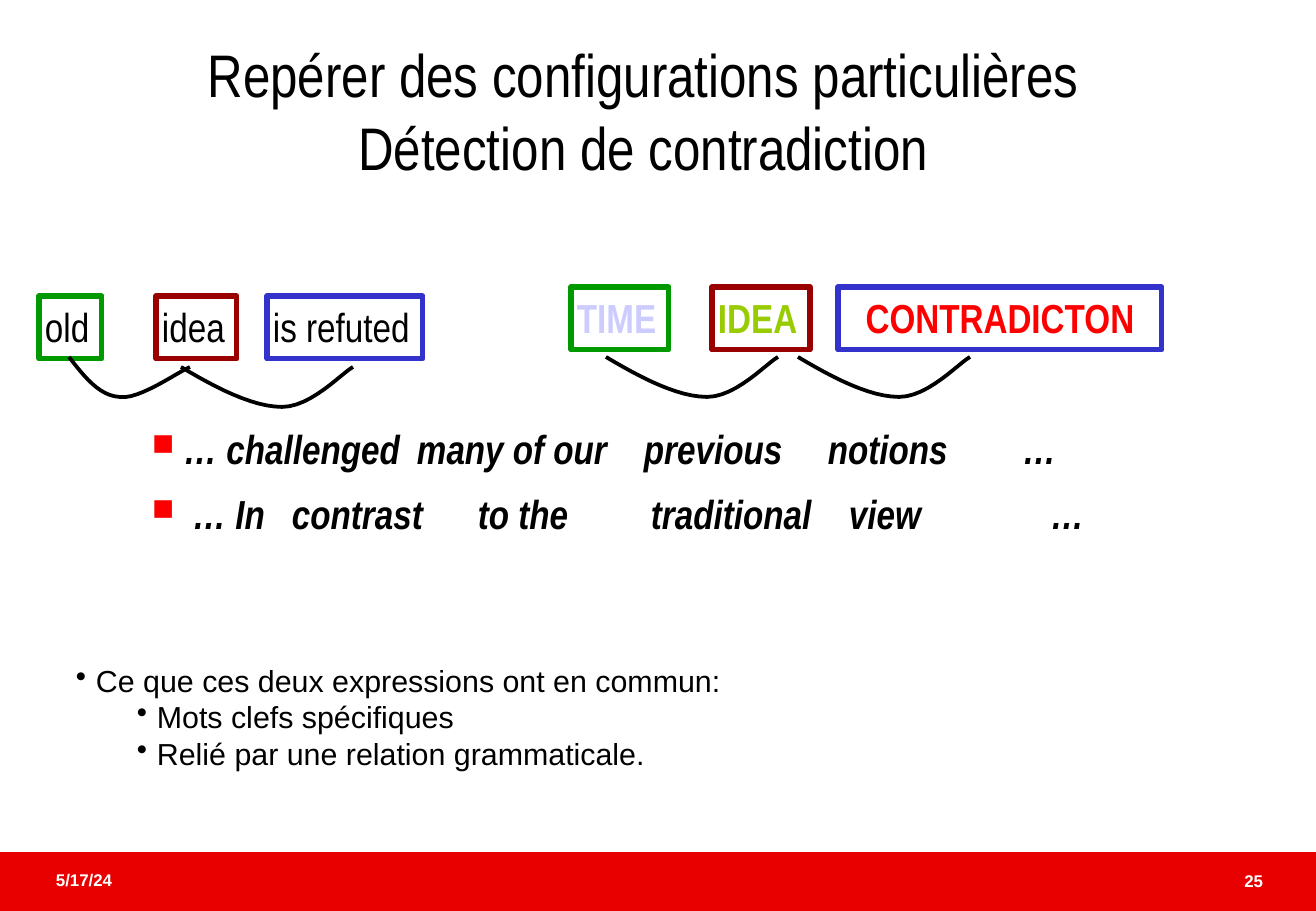
from dataclasses import dataclass

from lxml.etree import SubElement
from pptx import Presentation
from pptx.dml.color import RGBColor
from pptx.enum.shapes import MSO_SHAPE
from pptx.enum.text import MSO_ANCHOR as Anchor, PP_ALIGN as Align
from pptx.oxml.ns import qn
from pptx.util import Pt

PX = 7526  # EMU in one px
INSET = 6


@dataclass(frozen=True)
class Theme:
    sans: str = "Arial"
    narrow: str = "Arial Narrow"
    black: str = "000000"
    white: str = "FFFFFF"
    band: str = "E80000"
    bullet: str = "FC0000"
    time: str = "009900"
    idea: str = "990000"
    contradiction: str = "3333CC"
    time_text: str = "CCCCFF"
    idea_text: str = "99CC00"
    contradiction_text: str = "FF0000"
    title_size: float = 35.6
    phrase_size: int = 24
    list_size: int = 18
    footer_size: int = 10
    box_line: float = 3
    curve_line: float = 2.25


def write(paragraph, text, *, font, size, color, bold=False, italic=False,
          align=Align.LEFT):
    paragraph.text = text
    paragraph.alignment = align
    for run in paragraph.runs:
        run.font.name = font
        run.font.size = Pt(size)
        run.font.bold = bold
        run.font.italic = italic
        run.font.color.rgb = RGBColor.from_string(color)


def set_bullet(paragraph, char, margin=0, indent=0, color=None, percent=100,
               stops=()):
    """Give a paragraph a bullet, its indents and its tab stops."""
    properties = paragraph._p.get_or_add_pPr()
    properties.set("marL", str(margin * PX))
    properties.set("indent", str(indent * PX))
    if color:
        bullet_color = SubElement(properties, qn("a:buClr"))
        SubElement(bullet_color, qn("a:srgbClr"), val=color)
    SubElement(properties, qn("a:buSzPct"), val=str(percent * 1000))
    SubElement(properties, qn("a:buChar"), char=char)
    if stops:
        tabs = SubElement(properties, qn("a:tabLst"))
        for stop in stops:
            SubElement(tabs, qn("a:tab"), pos=str(stop * PX), algn="l")


def bezier(start, *controls, steps=12):
    """Return the points along joined cubic curves, three controls each."""
    points = [start]
    for first in range(0, len(controls), 3):
        corners = (points[-1], *controls[first:first + 3])
        for step in range(1, steps + 1):
            t = step / steps
            weights = ((1 - t) ** 3, 3 * t * (1 - t) ** 2,
                       3 * t ** 2 * (1 - t), t ** 3)
            points.append(tuple(
                sum(w * corner[axis] for w, corner in zip(weights, corners))
                for axis in (0, 1)))
    return points


class SlideBuilder:
    def __init__(self, slide, theme):
        self.slide = slide
        self.theme = theme

    def rectangle(self, *box, fill=None, line=None):
        shape = self.slide.shapes.add_shape(
            MSO_SHAPE.RECTANGLE, *(length * PX for length in box))
        shape.shadow.inherit = False
        if fill:
            shape.fill.solid()
            shape.fill.fore_color.rgb = RGBColor.from_string(fill)
        else:
            shape.fill.background()
        if line:
            shape.line.color.rgb = RGBColor.from_string(line)
            shape.line.width = Pt(self.theme.box_line)
        else:
            shape.line.fill.background()
        return shape

    def frame(self, shape, anchor=Anchor.TOP, left=INSET, top=INSET):
        frame = shape.text_frame
        frame.word_wrap = True
        frame.vertical_anchor = anchor
        frame.margin_left, frame.margin_top = left * PX, top * PX
        frame.margin_right = frame.margin_bottom = INSET * PX
        return frame

    def text_box(self, *box, **layout):
        shape = self.slide.shapes.add_textbox(*(length * PX for length in box))
        return self.frame(shape, **layout)

    def label(self, text, *box, line, **style):
        frame = self.frame(self.rectangle(*box, line=line))
        write(frame.paragraphs[0], text, font=self.theme.narrow,
              size=self.theme.phrase_size, **style)

    def curve(self, left, top, points):
        (x, y), *rest = [((left + x) * PX, (top + y) * PX) for x, y in points]
        builder = self.slide.shapes.build_freeform(x, y)
        builder.add_line_segments(rest, close=False)
        shape = builder.convert_to_shape()
        shape.shadow.inherit = False
        shape.fill.background()
        shape.line.color.rgb = RGBColor.from_string(self.theme.black)
        shape.line.width = Pt(self.theme.curve_line)

    def examples(self, lines):
        """Write bulleted phrases whose words start at given x positions."""
        theme, left, bullet_x = self.theme, 101, 152
        frame = self.text_box(left, 343, 1033, 313, left=bullet_x - left, top=71)
        for number, words in enumerate(lines):
            paragraph = frame.add_paragraph() if number else frame.paragraphs[0]
            write(paragraph, "".join("\t" + word for word in words.values()),
                  font=theme.narrow, size=theme.phrase_size,
                  color=theme.black, bold=True, italic=True)
            paragraph.line_spacing = 1.2
            paragraph.space_before = Pt(4)
            set_bullet(paragraph, "■", color=theme.bullet, percent=75,
                       stops=[x - bullet_x for x in words])

    def bullet_list(self, *box, items):
        frame = self.text_box(*box)
        for number, (level, text) in enumerate(items):
            paragraph = frame.add_paragraph() if number else frame.paragraphs[0]
            write(paragraph, text, font=self.theme.sans,
                  size=self.theme.list_size, color=self.theme.black)
            paragraph.level = level
            set_bullet(paragraph, "•", margin=20 + 61 * level, indent=-20)


def main():
    theme = Theme()
    presentation = Presentation()
    presentation.slide_width, presentation.slide_height = 1316 * PX, 911 * PX
    slide = presentation.slides.add_slide(presentation.slide_layouts[6])
    builder = SlideBuilder(slide, theme)

    builder.rectangle(0, 852, 1316, 59, fill=theme.band)
    for text, box, align in (("5/17/24", (50, 864, 262, 30), Align.LEFT),
                             ("25", (1236, 865, 33, 30), Align.RIGHT)):
        write(builder.text_box(*box).paragraphs[0], text, font=theme.sans,
              size=theme.footer_size, color=theme.white, bold=True, align=align)

    title = builder.text_box(84, 34, 1119, 152, anchor=Anchor.MIDDLE)
    write(title.paragraphs[0],
          "Repérer des configurations particulières\vDétection de contradiction",
          font=theme.narrow, size=theme.title_size, color=theme.black,
          align=Align.CENTER)

    builder.examples([
        {184: "… challenged", 417: "many of our", 644: "previous",
         828: "notions", 1023: "…"},
        {193: "… In", 292: "contrast", 478: "to the", 651: "traditional",
         849: "view", 1051: "…"},
    ])

    for text, left, width, line in (("old", 39, 63, theme.time),
                                    ("is refuted", 267, 156, theme.contradiction),
                                    ("idea", 156, 81, theme.idea)):
        builder.label(text, left, 296, width, 63, line=line, color=theme.black)
    for text, left, width, line, color, align in (
            ("TIME", 571, 98, theme.time, theme.time_text, Align.LEFT),
            ("IDEA", 712, 98, theme.idea, theme.idea_text, Align.LEFT),
            ("CONTRADICTON", 838, 324, theme.contradiction,
             theme.contradiction_text, Align.CENTER)):
        builder.label(text, left, 287, width, 63, line=line, color=color,
                      bold=True, align=align)

    short_link = bezier((0, 0), (15, 19), (30, 39), (51, 40),
                        (70, 43), (109, 15), (121, 10))
    long_link = bezier((0, 0), (35, 21), (72, 40), (101, 40),
                       (130, 40), (160, 7), (172, 0))
    builder.curve(69, 357, short_link)
    for left, top in ((181, 367), (606, 357), (798, 357)):
        builder.curve(left, top, long_link)

    builder.bullet_list(70, 656, 1022, 177, items=(
        (0, "Ce que ces deux expressions ont en commun:"),
        (1, "Mots clefs spécifiques"),
        (1, "Relié par une relation grammaticale."),
    ))
    presentation.save("out.pptx")


if __name__ == "__main__":
    main()
